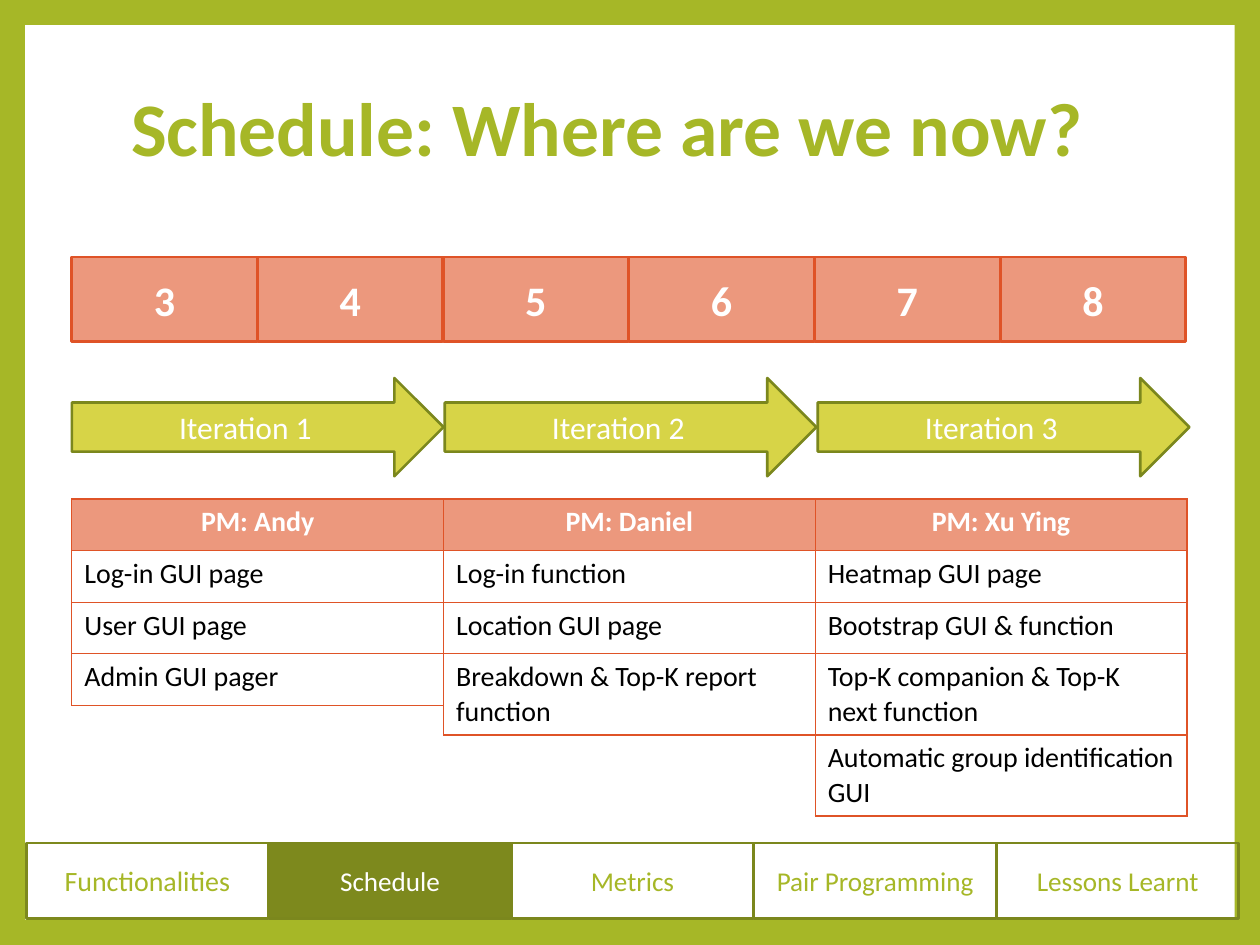
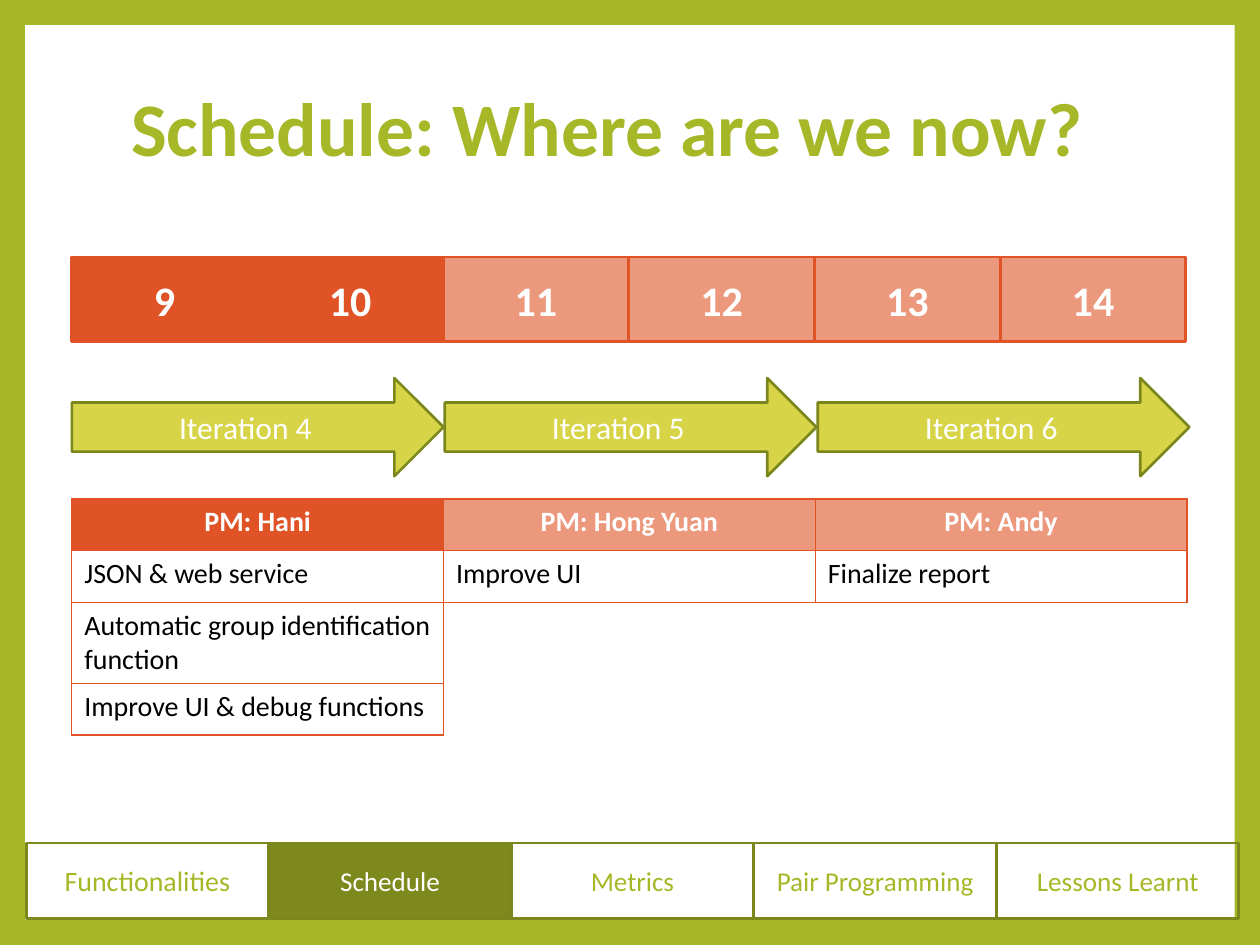
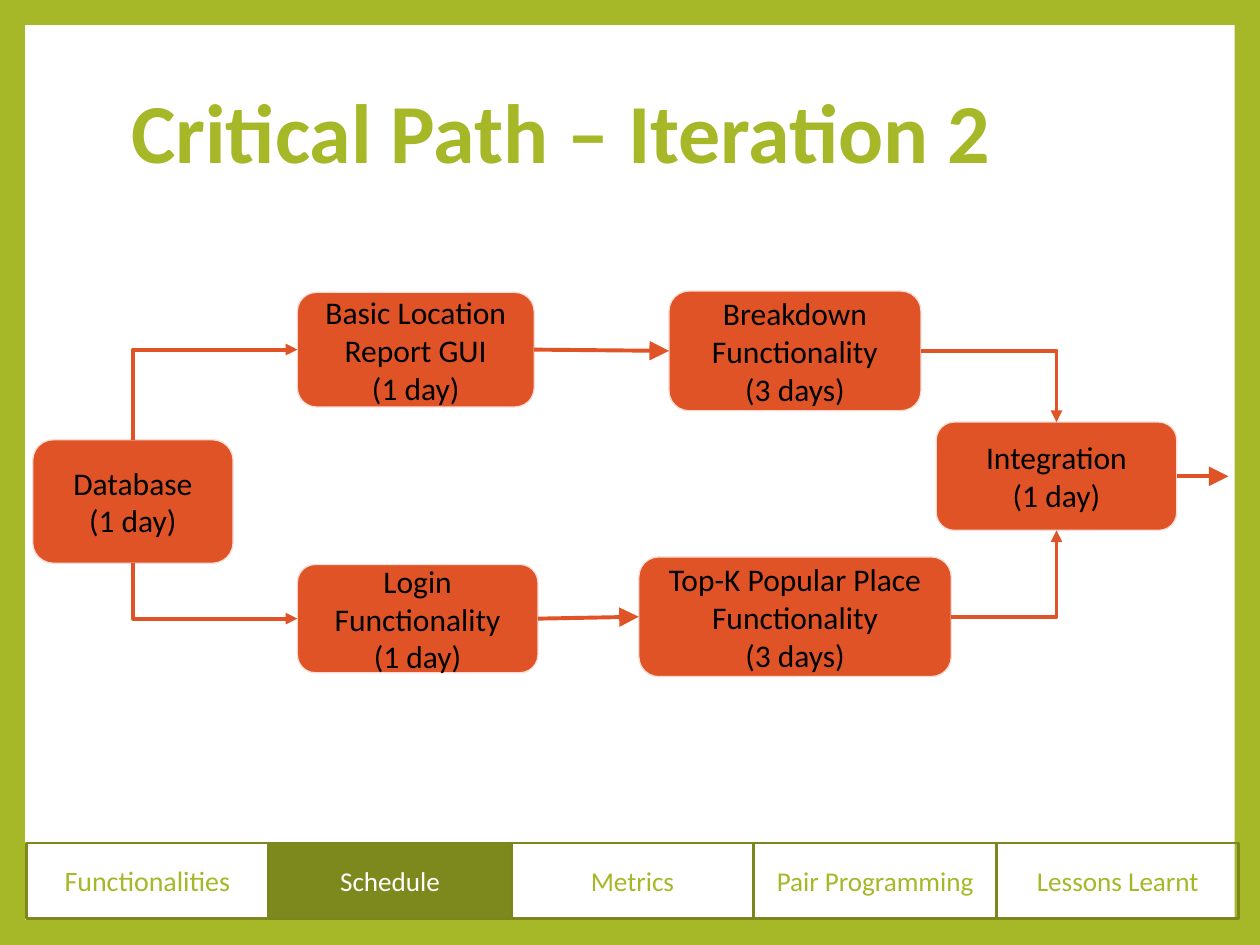
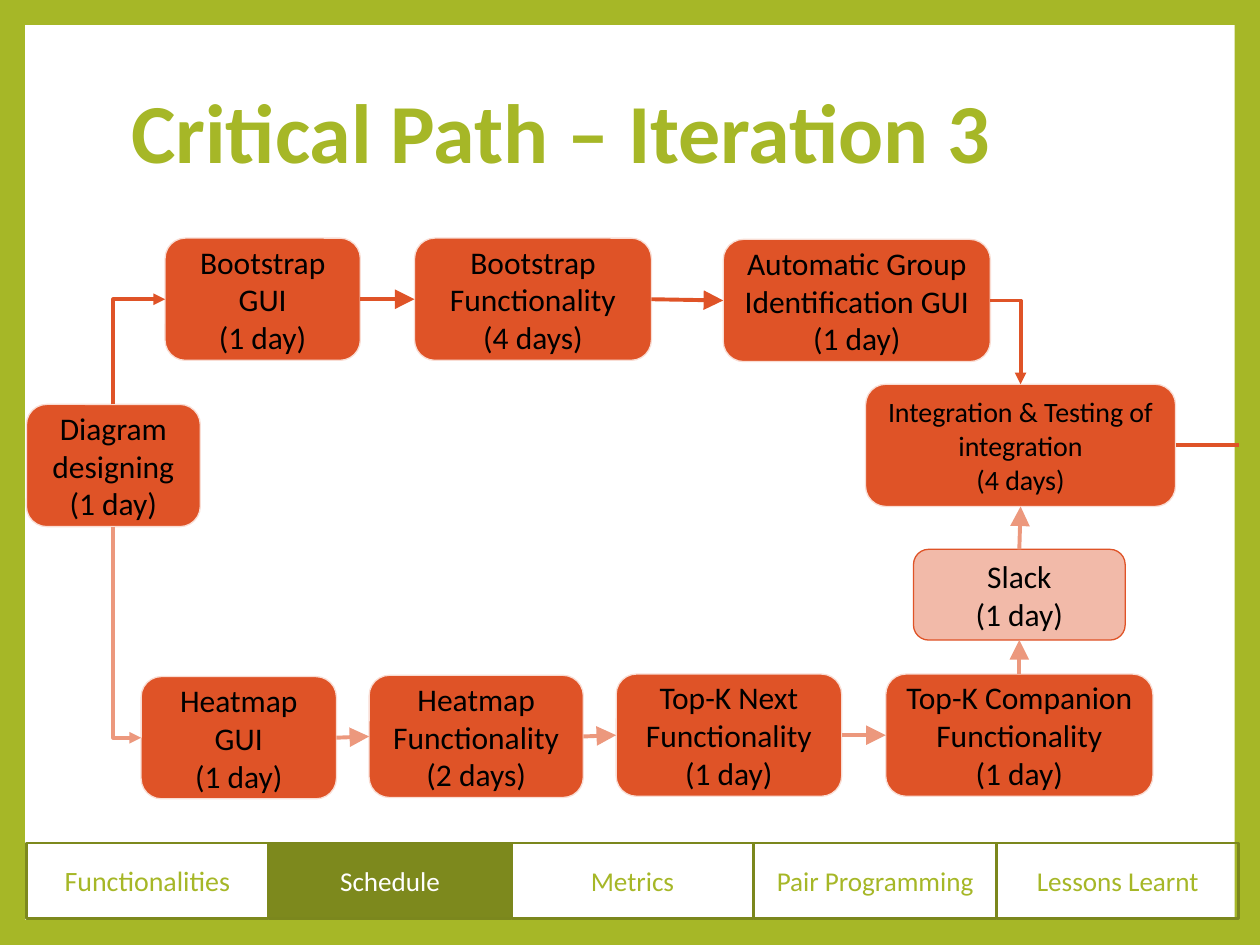
"""Build four slides on a project schedule and its critical paths."""
from dataclasses import dataclass

from lxml import etree
from pptx import Presentation
from pptx.dml.color import RGBColor
from pptx.enum.shapes import MSO_CONNECTOR, MSO_SHAPE
from pptx.enum.text import MSO_ANCHOR, MSO_AUTO_SIZE, PP_ALIGN
from pptx.oxml.ns import qn
from pptx.util import Inches, Pt

RECT, ROUND = MSO_SHAPE.RECTANGLE, MSO_SHAPE.ROUNDED_RECTANGLE
ARROW = MSO_SHAPE.RIGHT_ARROW
STRAIGHT, ELBOW = MSO_CONNECTOR.STRAIGHT, MSO_CONNECTOR.ELBOW
LEFT, CENTER = PP_ALIGN.LEFT, PP_ALIGN.CENTER
TOP, MIDDLE = MSO_ANCHOR.TOP, MSO_ANCHOR.MIDDLE
FIXED = MSO_AUTO_SIZE.NONE
SIDES = ("top", "left", "bottom", "right")
TABS = ("Functionalities", "Schedule", "Metrics", "Pair Programming", "Lessons Learnt")


@dataclass(frozen=True)
class Theme:
    font: str = "Calibri"
    green: str = "A6B727"
    olive: str = "7B871D"
    moss: str = "7D891D"
    lime: str = "D7D447"
    red: str = "DF5327"
    salmon: str = "EC987D"
    blush: str = "F2BAA9"
    pale: str = "F9DDD4"
    white: str = "FFFFFF"
    black: str = "000000"
    long: float = 43.2
    head: float = 48
    week: float = 24
    step: float = 18
    cell: float = 16
    tab: float = 15.5


class Deck:
    def __init__(self, theme):
        self.theme = theme
        self.deck = Presentation()
        self.deck.slide_width, self.deck.slide_height = Inches(10), Inches(7.5)
        self.slide = None
        fill = self.deck.slide_master.background.fill
        fill.solid()
        fill.fore_color.rgb = RGBColor.from_string(theme.green)

    def open(self, title, size):
        layout = self.deck.slide_layouts[5]
        self.slide = self.deck.slides.add_slide(layout)
        if len(self.deck.slides) == 1:
            self.panel(layout)
        head = self.slide.shapes.title
        head.left, head.top = Inches(0.94), Inches(0.67)
        head.width, head.height = Inches(8.1), Inches(1.48)
        frame = head.text_frame
        frame.text = title
        frame.auto_size, frame.vertical_anchor = FIXED, TOP
        frame.paragraphs[0].line_spacing = 0.9
        self.style(frame, size, self.theme.green, True, LEFT)

    def panel(self, layout):
        panel = self.shape(self.slide.shapes, RECT, (0.2, 0.2, 9.6, 7.1), self.theme.white)
        panel.element.nvSpPr.cNvPr.set("id", "99")
        layout.placeholders[0].element.addprevious(panel.element)

    def style(self, frame, size, color, bold=False, align=CENTER):
        for para in frame.paragraphs:
            para.alignment = align
            for run in para.runs:
                font = run.font
                font.name, font.size, font.bold = self.theme.font, Pt(size), bold
                font.color.rgb = RGBColor.from_string(color)

    def shape(self, group, kind, box, fill=None, line=None, width=1.5):
        shape = group.add_shape(kind, *map(Inches, box))
        shape.shadow.inherit = False
        if fill:
            shape.fill.solid()
            shape.fill.fore_color.rgb = RGBColor.from_string(fill)
        else:
            shape.fill.background()
        if line:
            shape.line.color.rgb = RGBColor.from_string(line)
            shape.line.width = Pt(width)
        else:
            shape.line.fill.background()
        return shape

    def label(self, shape, text, size, color, bold=False):
        frame = shape.text_frame
        frame.text, frame.word_wrap, frame.vertical_anchor = text, True, MIDDLE
        self.style(frame, size, color, bold)

    def tabs(self, live):
        theme = self.theme
        group = self.slide.shapes.add_group_shape().shapes
        for idx, text in enumerate(TABS):
            fill, color = (theme.moss, theme.white) if text == live else (None, theme.green)
            box = (0.21 + 1.925 * idx, 6.69, 1.92, 0.6)
            tab = self.shape(group, RECT, box, fill, theme.olive if idx else theme.moss)
            self.label(tab, text, theme.tab if idx else theme.cell, color)

    def weeks(self, first, done):
        theme = self.theme
        group = self.slide.shapes.add_group_shape().shapes
        for idx in range(6):
            fill = theme.red if idx < done else theme.salmon
            week = self.shape(group, RECT, (0.57 + 1.474 * idx, 2.04, 1.47, 0.67), fill, theme.red)
            self.label(week, str(first + idx), theme.week, theme.white, True)

    def phases(self, first):
        theme = self.theme
        for idx in range(3):
            box = (0.57 + 2.96 * idx, 3, 2.95, 0.78)
            phase = self.shape(self.slide.shapes, ARROW, box, theme.lime, theme.olive)
            self.label(phase, f"Iteration {first + idx}", theme.step, theme.white)

    def border(self, cell):
        props = cell._tc.get_or_add_tcPr()
        for spot, side in enumerate("LRTB"):
            line = etree.Element(qn(f"a:ln{side}"), w=str(Pt(0.79)))
            fill = etree.SubElement(line, qn("a:solidFill"))
            etree.SubElement(fill, qn("a:srgbClr"), val=self.theme.red)
            props.insert(spot, line)

    def table(self, left, rows, fill):
        theme = self.theme
        size = map(Inches, (left, 3.96, 2.95, 0.41 * len(rows)))
        table = self.slide.shapes.add_table(len(rows), 1, *size).table
        table.horz_banding = False
        for idx, text in enumerate(rows):
            cell = table.cell(idx, 0)
            cell.text_frame.text = text
            if idx:
                cell.fill.background()
                self.style(cell.text_frame, theme.cell, theme.black, False, LEFT)
            else:
                cell.fill.solid()
                cell.fill.fore_color.rgb = RGBColor.from_string(fill)
                self.style(cell.text_frame, theme.cell, theme.white, True)
            self.border(cell)

    def plan(self, week, phase, done, lists):
        """Fill a slide with weeks, phases and one task table per phase."""
        theme = self.theme
        self.open("Schedule: Where are we now?", theme.long)
        self.weeks(week, done)
        self.phases(phase)
        for idx, rows in enumerate(lists):
            fill = theme.red if idx * 2 < done else theme.salmon
            self.table(0.57 + 2.95 * idx, rows, fill)
        self.tabs("Schedule")

    def task(self, box, name, days, size=None, fill=None, line=None):
        theme = self.theme
        task = self.shape(self.slide.shapes, ROUND, box, fill or theme.red, line or theme.pale, 0.75)
        frame = task.text_frame
        frame.margin_left = frame.margin_right = Inches(0.07)
        frame.margin_top = frame.margin_bottom = Inches(0.07)
        unit = "day" if days == 1 else "days"
        self.label(task, f"{name}\n({days} {unit})", size or theme.step, theme.black)
        return task

    def point(self, shape, side):
        across = {"left": 0, "right": shape.width}.get(side, shape.width // 2)
        down = {"top": 0, "bottom": shape.height}.get(side, shape.height // 2)
        return shape.left + across, shape.top + down

    def ink(self, line, color, head):
        line.line.color.rgb = RGBColor.from_string(color or self.theme.red)
        line.line.width = Pt(2.25)
        props = line.element.spPr
        if head:
            etree.SubElement(props.find(qn("a:ln")), qn("a:tailEnd"), type="triangle", w=head, len=head)
        etree.SubElement(props, qn("a:effectLst"))

    def link(self, start, end, color=None, sides=("right", "left")):
        line = self.slide.shapes.add_connector(STRAIGHT, 0, 0, 0, 0)
        line.begin_connect(start, SIDES.index(sides[0]))
        line.end_connect(end, SIDES.index(sides[1]))
        self.ink(line, color, "lg")

    def leave(self, start, right, head=None):
        left, top = self.point(start, "right")
        line = self.slide.shapes.add_connector(STRAIGHT, left, top, Inches(right), top)
        line.begin_connect(start, SIDES.index("right"))
        self.ink(line, None, head)

    def bend(self, start, out, end, side, color=None):
        """Draw a one-corner arrow; one that starts upright is a turned one."""
        x1, y1 = self.point(start, out)
        x2, y2 = self.point(end, side)
        turn = None
        if out in ("top", "bottom"):
            turn = 90 if y2 < y1 else 270
            midx, midy = (x1 + x2) // 2, (y1 + y2) // 2
            wide, high = abs(y2 - y1) // 2, (x2 - x1) // 2
            if turn == 270:
                high = -high
            x1, y1, x2, y2 = midx + wide, midy + high, midx - wide, midy - high
        line = self.slide.shapes.add_connector(ELBOW, x1, y1, x2, y2)
        props = line.element.spPr
        props.find(qn("a:prstGeom")).set("prst", "bentConnector2")
        if turn:
            props.find(qn("a:xfrm")).set("rot", str(turn * 60000))
        self.ink(line, color, "med")

    def chain(self, tasks, color=None):
        for start, end in zip(tasks, tasks[1:]):
            self.link(start, end, color)


def second(deck):
    deck.open("Critical Path – Iteration 2", deck.theme.head)
    deck.tabs("Schedule")
    data = deck.task((0.26, 3.49, 1.59, 0.98), "Database", 1)
    report = deck.task((2.36, 2.32, 1.88, 0.91), "Basic Location Report GUI", 1)
    login = deck.task((2.36, 4.48, 1.91, 0.86), "Login Functionality", 1)
    split = deck.task((5.31, 2.31, 2, 0.95), "Breakdown Functionality", 3)
    place = deck.task((5.07, 4.42, 2.48, 0.95), "Top-K Popular Place Functionality", 3)
    join = deck.task((7.43, 3.35, 1.91, 0.86), "Integration", 1)
    deck.link(report, split)
    deck.link(login, place)
    deck.leave(join, 9.75, "lg")
    deck.bend(data, "top", report, "left")
    deck.bend(data, "bottom", login, "left")
    deck.bend(place, "right", join, "bottom")
    deck.bend(split, "right", join, "top")


def third(deck):
    theme = deck.theme
    deck.open("Critical Path – Iteration 3", theme.head)
    deck.tabs("Schedule")
    draw = deck.task((0.21, 3.21, 1.38, 0.97), "Diagram designing", 1)
    upper = [deck.task((left, top, width, 0.97), name, days) for left, top, width, name, days in (
        (1.31, 1.89, 1.55, "Bootstrap GUI", 1),
        (3.29, 1.89, 1.88, "Bootstrap Functionality", 4),
        (5.74, 1.9, 2.12, "Automatic Group Identification GUI", 1))]
    lower = [deck.task((left, top, width, 0.97), name, days) for left, top, width, name, days in (
        (1.12, 5.37, 1.55, "Heatmap GUI", 1),
        (2.93, 5.36, 1.7, "Heatmap Functionality", 2),
        (4.89, 5.35, 1.79, "Top-K Next Functionality", 1),
        (7.03, 5.35, 2.12, "Top-K Companion Functionality", 1))]
    join = deck.task((6.87, 3.05, 2.46, 0.97), "Integration & Testing of integration", 4, theme.cell)
    slack = deck.task((7.25, 4.36, 1.68, 0.72), "Slack", 1, fill=theme.blush, line=theme.red)
    deck.bend(draw, "top", upper[0], "left")
    deck.bend(draw, "bottom", lower[0], "left", theme.salmon)
    deck.bend(upper[-1], "right", join, "top")
    deck.chain(upper)
    deck.chain(lower, theme.salmon)
    deck.leave(join, 9.83)
    deck.link(lower[-1], slack, theme.salmon, ("bottom", "top")[::-1])
    deck.link(slack, join, theme.salmon, ("top", "bottom"))


def main():
    deck = Deck(Theme())
    deck.plan(3, 1, 0, (
        ("PM: Andy", "Log-in GUI page", "User GUI page", "Admin GUI pager"),
        ("PM: Daniel", "Log-in function", "Location GUI page",
         "Breakdown & Top-K report function"),
        ("PM: Xu Ying", "Heatmap GUI page", "Bootstrap GUI & function",
         "Top-K companion & Top-K next function", "Automatic group identification GUI")))
    deck.plan(9, 4, 2, (
        ("PM: Hani", "JSON & web service", "Automatic group identification function",
         "Improve UI & debug functions"),
        ("PM: Hong Yuan", "Improve UI"),
        ("PM: Andy", "Finalize report")))
    second(deck)
    third(deck)
    deck.deck.save("out.pptx")


main()
